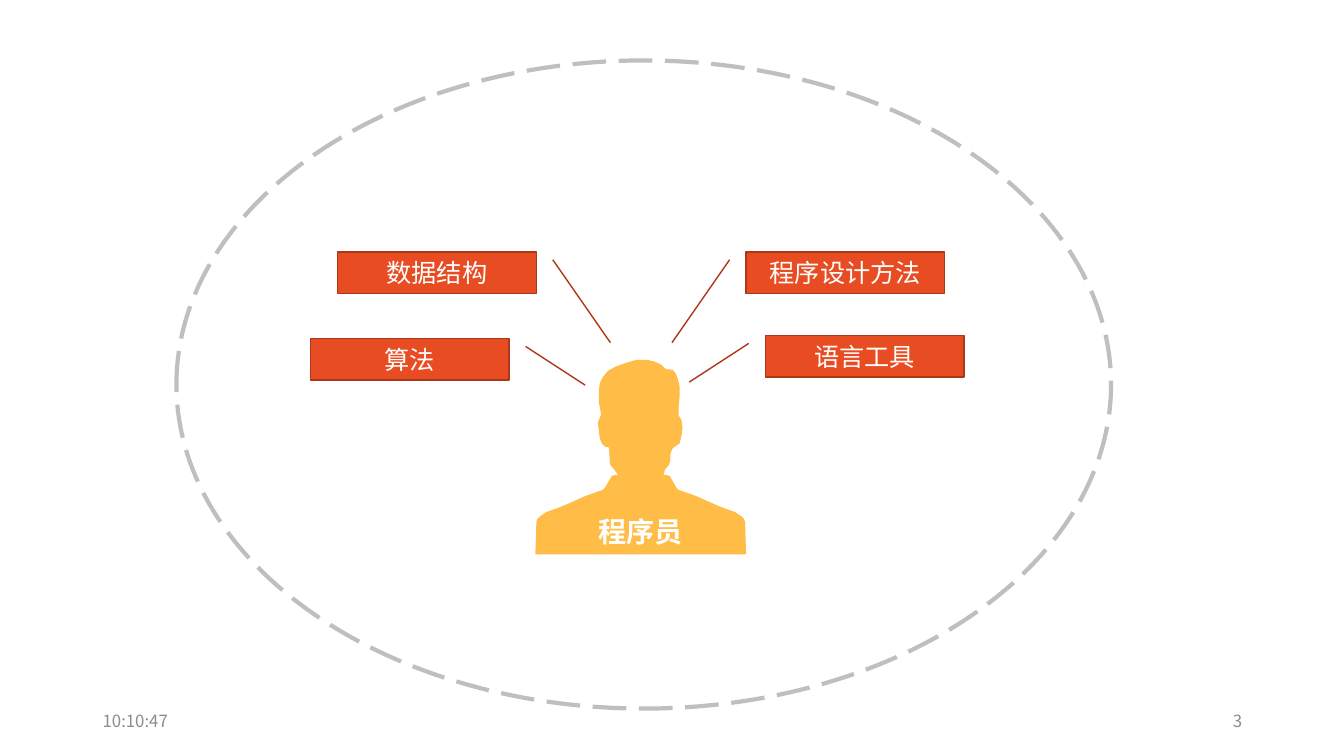
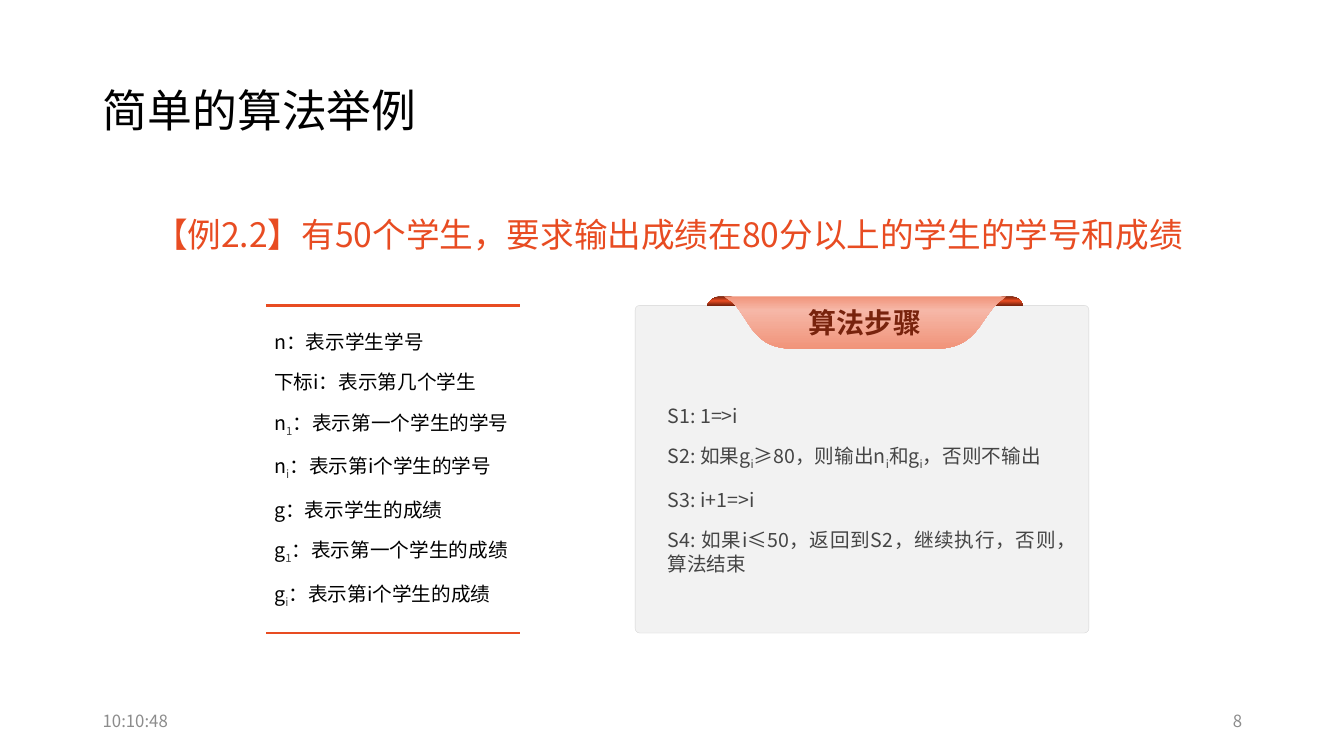
from dataclasses import dataclass

from lxml import etree
from pptx import Presentation
from pptx.dml.color import RGBColor
from pptx.enum.dml import MSO_LINE
from pptx.enum.shapes import MSO_CONNECTOR, MSO_SHAPE
from pptx.enum.text import MSO_ANCHOR, MSO_AUTO_SIZE, PP_ALIGN
from pptx.oxml.ns import qn
from pptx.util import Emu, Pt

LEFT, CENTER, RIGHT = PP_ALIGN.LEFT, PP_ALIGN.CENTER, PP_ALIGN.RIGHT
JUSTIFY = PP_ALIGN.JUSTIFY
TOP, MIDDLE = MSO_ANCHOR.TOP, MSO_ANCHOR.MIDDLE

# Shared look
FONT = "Noto Sans CJK SC"
WHITE = RGBColor(0xFF, 0xFF, 0xFF)
BLACK = RGBColor(0x00, 0x00, 0x00)
ORANGE = RGBColor(0xE8, 0x4C, 0x22)
RUST = RGBColor(0xAC, 0x38, 0x19)
BROWN = RGBColor(0x78, 0x23, 0x0D)
CORAL = RGBColor(0xF1, 0x94, 0x7A)
PINK = RGBColor(0xF6, 0xB7, 0xA7)
GOLD = RGBColor(0xFF, 0xBD, 0x47)
DARK = RGBColor(0x45, 0x45, 0x45)
GREY = RGBColor(0x8C, 0x8C, 0x8C)
SILVER = RGBColor(0xBF, 0xBF, 0xBF)
EDGE = RGBColor(0xD5, 0xD5, 0xD5)
PALE = RGBColor(0xF2, 0xF2, 0xF2)

Point = tuple[float, float]
Box = tuple[int, int, int, int]


def px(value: float) -> Emu:
    """100 px make one inch."""
    return Emu(round(value * 9144))


@dataclass(frozen=True)
class Label:
    text: str
    left: int
    top: int
    flip: bool = False
    drop: float = 1.125  # end of the leader, as a share of the height
    reach: float = -0.383


LABELS = [
    Label("算法", 308, 336, flip=True),
    Label("数据结构", 335, 250, flip=True, drop=2.195, reach=-0.373),
    Label("语言工具", 759, 333),
    Label("程序设计方法", 740, 250, drop=2.195, reach=-0.373),
]

HEAD: list[Point] = [
    (610, 467), (606, 462), (605, 461), (604, 444), (600, 443), (597, 440),
    (595, 435), (594, 428), (593, 419), (596, 412), (596, 410), (594, 399),
    (594, 387), (595, 380), (598, 374), (603, 368), (610, 364), (621, 360),
    (631, 357), (642, 357), (650, 359), (656, 362), (660, 366), (667, 367),
    (670, 370), (672, 375), (674, 383), (674, 394), (673, 406), (673, 412),
    (676, 417), (677, 424), (676, 432), (674, 440), (671, 442), (667, 445),
    (665, 450), (665, 457), (663, 462), (660, 465), (659, 468),
]
SHOULDER: list[Point] = [
    (658, 471), (664, 472), (667, 477), (671, 484), (673, 486), (690, 492),
    (715, 503), (729, 508), (735, 512), (738, 515), (739, 518), (740, 550),
]
AXIS = 1271  # sum of the left and right x of the shoulders

# An underscore lowers the character after it
TERMS = [
    "n：表示学生学号",
    "下标i：表示第几个学生",
    "n_1：表示第一个学生的学号",
    "n_i：表示第i个学生的学号",
    "g：表示学生的成绩",
    "g_1：表示第一个学生的成绩",
    "g_i：表示第i个学生的成绩",
]
STEPS = [
    "S1: 1=>i",
    "S2: 如果g_i≥80，则输出n_i和g_i，否则不输出",
    "S3: i+1=>i",
    "S4: 如果i≤50，返回到S2，继续执行，否则，算法结束",
]


# Text
def write(shape, *lines: str, size: float, color: RGBColor, bold: bool = False,
          align=LEFT, anchor=MIDDLE, gap: float = 0, before: float | None = None,
          spacing: float = 1.0, inset: Box = (10, 5, 10, 5)) -> None:
    frame = shape.text_frame
    frame.word_wrap = True
    frame.auto_size = MSO_AUTO_SIZE.NONE
    frame.vertical_anchor = anchor
    (frame.margin_left, frame.margin_top,
     frame.margin_right, frame.margin_bottom) = map(px, inset)
    for index, line in enumerate(lines):
        para = frame.add_paragraph() if index else frame.paragraphs[0]
        para.alignment = align
        para.line_spacing = spacing
        para.space_before = Pt(gap if before is None else before)
        para.space_after = Pt(gap)
        first, *rest = line.split("_")
        parts = [(first, False)]
        for part in rest:
            parts += [(part[0], True), (part[1:], False)]
        for text, low in parts:
            run = para.add_run()
            run.text = text
            font = run.font
            font.name, font.size, font.bold = FONT, Pt(size), bold
            font.color.rgb = DARK if low else color
            props = font._element
            etree.SubElement(props, qn("a:ea"), typeface=FONT)
            if low:
                props.set("baseline", "-25000")


def note(slide, box: Box, *lines: str, **style) -> None:
    write(slide.shapes.add_textbox(*map(px, box)), *lines, **style)


# Shapes
def paint(shape, fill: RGBColor | None = None, line: RGBColor | None = None,
          width: float = 1) -> None:
    shape.shadow.inherit = False
    if fill is None:
        shape.fill.background()
    else:
        shape.fill.solid()
        shape.fill.fore_color.rgb = fill
    if line is None:
        shape.line.fill.background()
    else:
        shape.line.color.rgb = line
        shape.line.width = Pt(width)


def preset(slide, kind, box: Box, **style):
    shape = slide.shapes.add_shape(kind, *map(px, box))
    paint(shape, **style)
    return shape


def outline(slide, points: list[Point], fill: RGBColor):
    spots = [(px(x), px(y)) for x, y in points]
    pen = slide.shapes.build_freeform(*spots[0], scale=1.0)
    pen.add_line_segments(spots[1:], close=True)
    shape = pen.convert_to_shape()
    paint(shape, fill)
    return shape


def shade(shape, *stops: tuple[int, RGBColor]) -> None:
    """Fill from top to bottom; stops are in percent."""
    shape.fill.gradient()
    shape.fill.gradient_angle = 270
    group = shape._element.spPr.find(qn("a:gradFill")).find(qn("a:gsLst"))
    for old in list(group):
        group.remove(old)
    for place, color in stops:
        stop = etree.SubElement(group, qn("a:gs"), pos=str(place * 1000))
        etree.SubElement(stop, qn("a:srgbClr"), val=str(color))


def curve(a: Point, b: Point, c: Point, d: Point, count: int = 16) -> list[Point]:
    """Points along a cubic curve, both ends included."""
    spots = []
    for index in range(count + 1):
        t = index / count
        u = 1 - t
        parts = (u ** 3, 3 * u * u * t, 3 * u * t * t, t ** 3)
        spots.append((sum(k * p[0] for k, p in zip(parts, (a, b, c, d))),
                      sum(k * p[1] for k, p in zip(parts, (a, b, c, d)))))
    return spots


def rule(slide, left: int, right: int, y: int) -> None:
    line = slide.shapes.add_connector(
        MSO_CONNECTOR.STRAIGHT, px(left), px(y), px(right), px(y))
    line.line.color.rgb = ORANGE
    line.line.width = Pt(2)
    etree.SubElement(line._element.spPr, qn("a:effectLst"))


def footer(slide, time: str, page: int) -> None:
    note(slide, (92, 695, 300, 40), time, size=12, color=GREY)
    note(slide, (942, 695, 300, 40), str(page), size=12, color=GREY, align=RIGHT)


# Parts of the slides
def callout(slide, label: Label) -> None:
    shape = preset(slide, MSO_SHAPE.LINE_CALLOUT_1,
                   (label.left, label.top, 197, 41), fill=ORANGE, line=RUST)
    for index, value in enumerate((0.188, -0.083, label.drop, label.reach)):
        shape.adjustments[index] = value
    if label.flip:
        shape._element.spPr.xfrm.set("flipH", "1")
    write(shape, label.text, size=18, color=WHITE, align=CENTER)


def curl(slide, left: int, width: int) -> None:
    right = left + width
    shape = outline(slide, [
        *curve((left + 12, 294), (left + 7, 295), (left + 3, 298), (left + 1, 302)),
        (left, 303), (right, 303),
        *curve((right, 302), (right - 2, 298), (right - 6, 295), (right - 11, 294)),
    ], ORANGE)
    shade(shape, (0, BROWN), (49, ORANGE), (100, BROWN))


def ribbon(slide, text: str) -> None:
    for left, width in ((701, 34), (983, 32)):
        curl(slide, left, width)
    shape = outline(slide, [
        (718, 294), (998, 294),
        *curve((989, 301), (971, 319), (968, 346), (927, 346)),
        *curve((788, 346), (747, 346), (745, 319), (727, 300)),
    ], CORAL)
    shade(shape, (0, CORAL), (26, PINK), (100, CORAL))
    write(shape, text, size=20, color=BROWN, bold=True, align=CENTER)


def skills(deck) -> None:
    slide = deck.slides.add_slide(deck.slide_layouts[6])
    mirror = [(AXIS - x, y) for x, y in reversed(SHOULDER)]
    outline(slide, HEAD + SHOULDER + mirror, GOLD)
    note(slide, (580, 506, 111, 44), "程序员", size=20, color=WHITE,
         bold=True, align=CENTER, anchor=TOP)
    for label in LABELS:
        callout(slide, label)
    ring = preset(slide, MSO_SHAPE.OVAL, (175, 60, 927, 643), line=SILVER, width=3)
    ring.line.dash_style = MSO_LINE.LONG_DASH
    footer(slide, "10:10:47", 3)


def sample(deck) -> None:
    slide = deck.slides.add_slide(deck.slide_layouts[5])
    title = slide.shapes.title
    title.left, title.top, title.width, title.height = map(px, (92, 40, 1150, 145))
    write(title, "简单的算法举例", size=32, color=BLACK, spacing=0.9)
    note(slide, (143, 199, 1112, 64),
         "【例2.2】有50个学生，要求输出成绩在80分以上的学生的学号和成绩",
         size=24, color=ORANGE, anchor=TOP, spacing=1.2, before=10)

    # Steps
    card = preset(slide, MSO_SHAPE.ROUNDED_RECTANGLE, (630, 303, 450, 325),
                  fill=PALE, line=EDGE, width=0.25)
    card.adjustments[0] = 0.014
    write(card, *STEPS, size=14, color=DARK, align=JUSTIFY, gap=6,
          inset=(31, 79, 31, 39))
    ribbon(slide, "算法步骤")

    # Terms
    for y in (303, 628):
        rule(slide, 264, 516, y)
    note(slide, (264, 303, 252, 325), *TERMS, size=14, color=BLACK,
         align=JUSTIFY, gap=6, inset=(8, 8, 8, 8))
    footer(slide, "10:10:48", 8)


def main() -> None:
    deck = Presentation()
    deck.slide_width, deck.slide_height = px(1333), px(750)
    skills(deck)
    sample(deck)
    deck.save("out.pptx")


if __name__ == "__main__":
    main()
